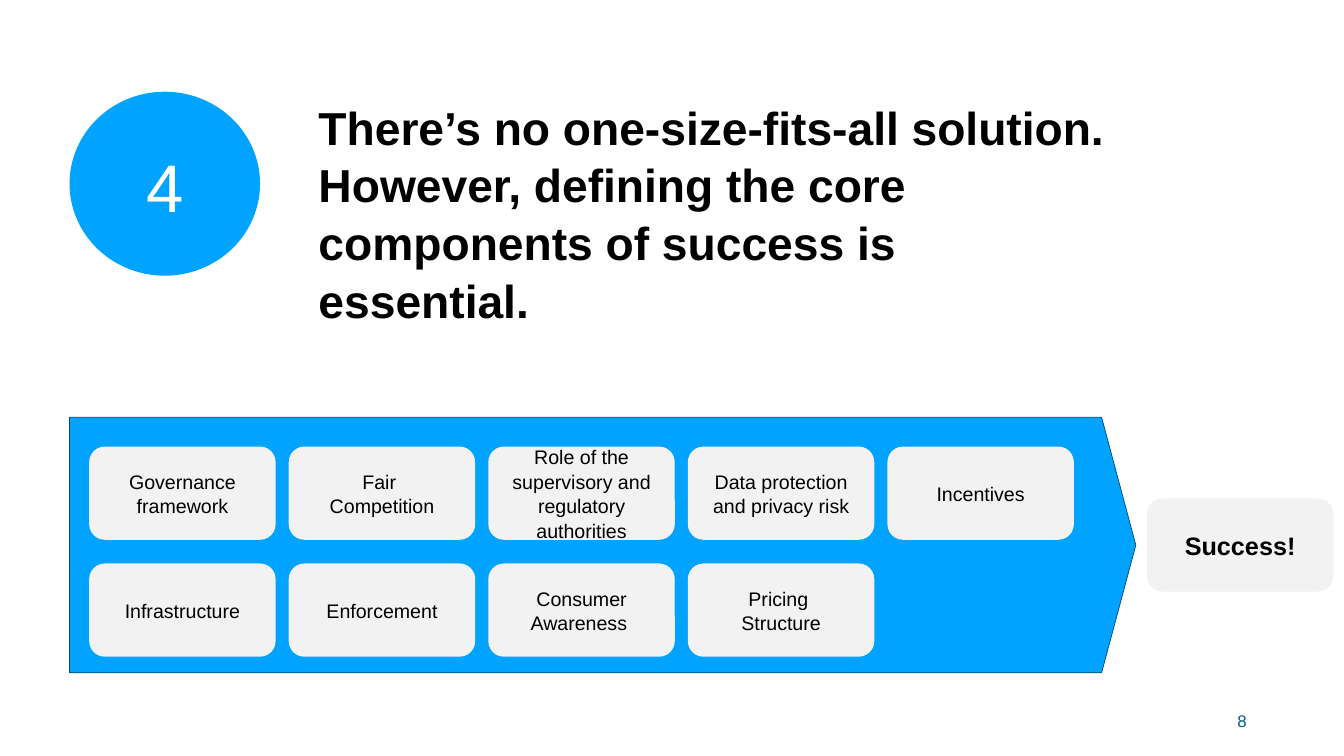
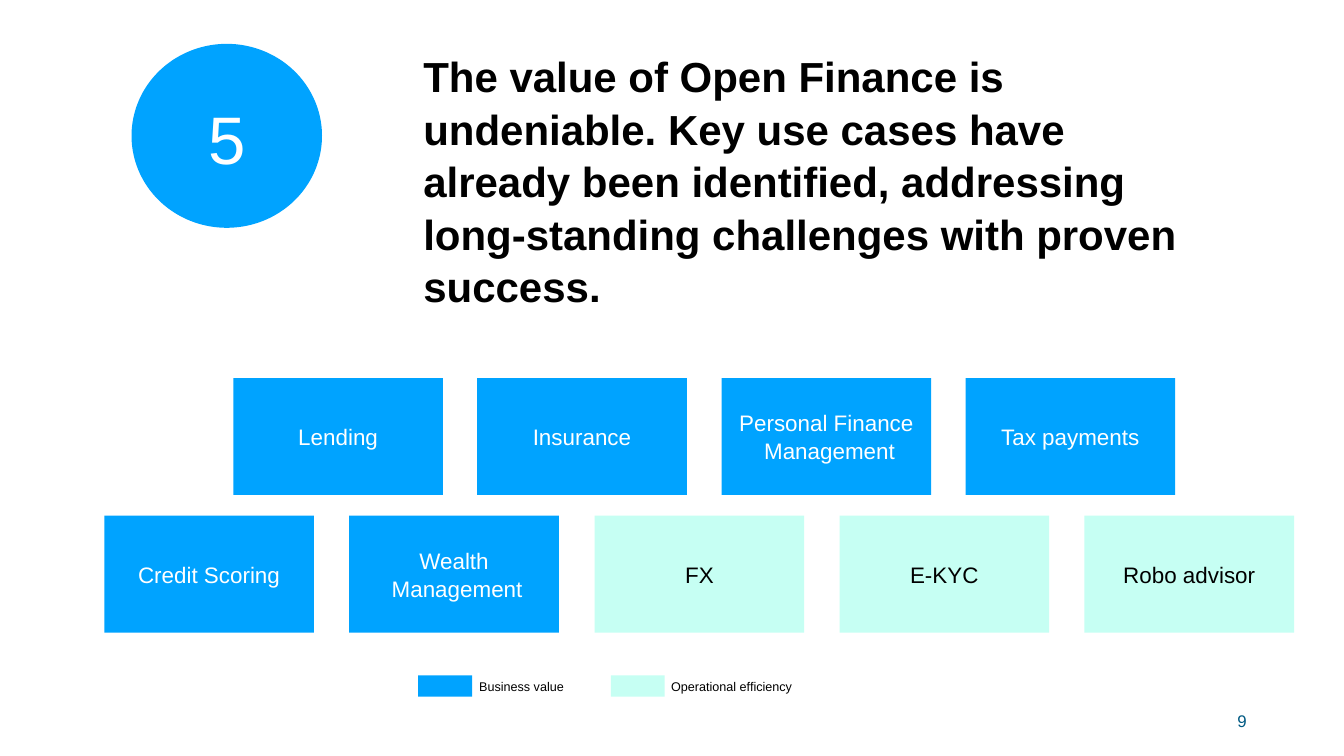
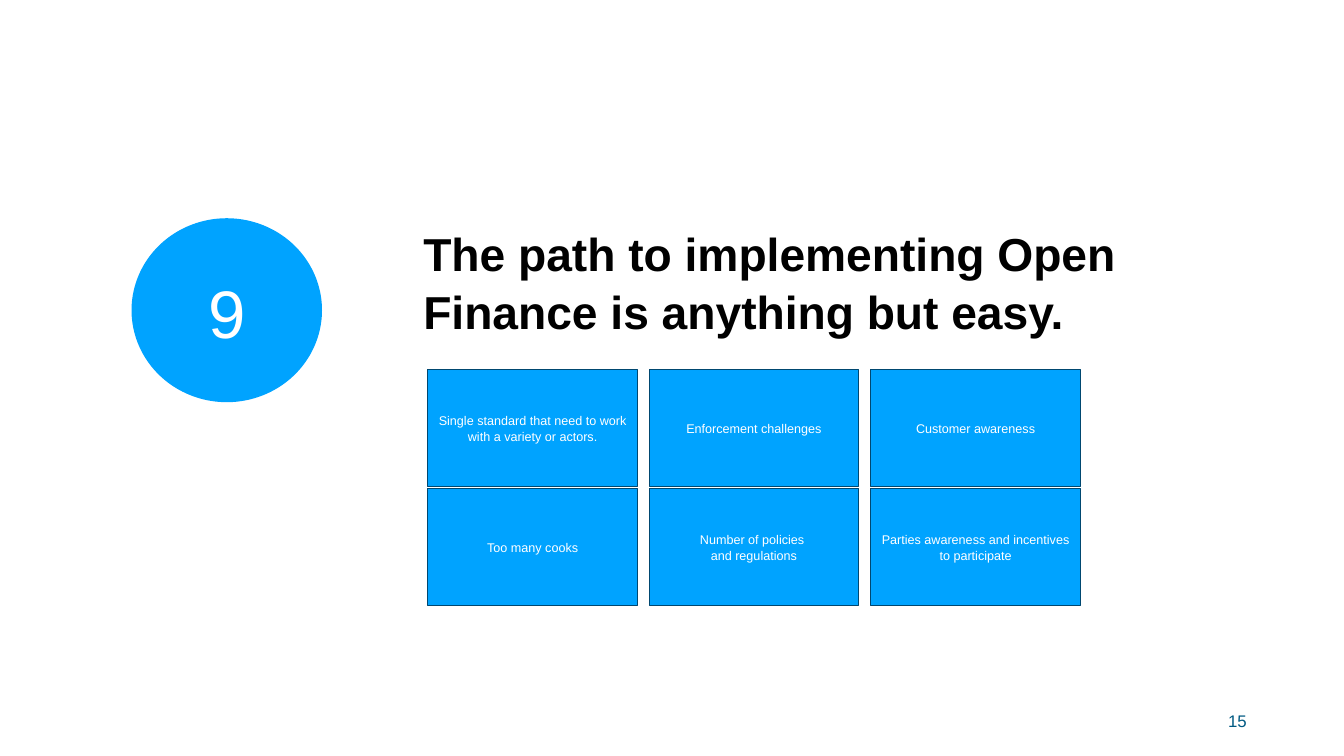
from dataclasses import dataclass

from pptx import Presentation
from pptx.dml.color import RGBColor
from pptx.enum.shapes import MSO_SHAPE
from pptx.enum.text import MSO_ANCHOR, MSO_AUTO_SIZE, PP_ALIGN
from pptx.util import Emu, Pt

PX = 9144  # EMU in one px, 100 px to the inch
TITLE_ONLY = 5
RECT, ROUND = MSO_SHAPE.RECTANGLE, MSO_SHAPE.ROUNDED_RECTANGLE
OVAL, ARROW = MSO_SHAPE.OVAL, MSO_SHAPE.PENTAGON
LEFT, CENTER, RIGHT = PP_ALIGN.LEFT, PP_ALIGN.CENTER, PP_ALIGN.RIGHT
TOP, MIDDLE = MSO_ANCHOR.TOP, MSO_ANCHOR.MIDDLE
FIXED = MSO_AUTO_SIZE.NONE


@dataclass(frozen=True)
class Theme:
    font: str = "Arial"
    white: str = "FFFFFF"
    black: str = "000000"
    blue: str = "00A3FF"
    navy: str = "004770"
    teal: str = "005A83"
    mint: str = "C6FFF3"
    grey: str = "F2F2F2"
    badge: int = 96
    title: int = 66
    long: int = 60
    goal: int = 36
    case: int = 32
    card: int = 28
    page: int = 24
    small: int = 18
    leading: float = 1.04


THEME = Theme()


def rgb(code):
    return RGBColor.from_string(code)


def box(*lengths):
    return [Emu(n * PX) for n in lengths]


def write(shape, text, size, color=THEME.black, bold=False,
          align=CENTER, anchor=MIDDLE, inset=5):
    """Fill a shape with text, one paragraph to each line."""
    frame = shape.text_frame
    frame.text = text
    frame.word_wrap = True
    frame.auto_size = FIXED
    frame.vertical_anchor = anchor
    frame.margin_left = frame.margin_right = Emu(10 * PX)
    frame.margin_top = frame.margin_bottom = Emu(inset * PX)
    for para in frame.paragraphs:
        para.alignment = align
        para.line_spacing = THEME.leading
        para.space_before = para.space_after = Pt(0)
        font = para.font
        font.name, font.size, font.bold = THEME.font, Pt(size), bold
        font.color.rgb = rgb(color)


def block(slide, kind, area, fill, line=None):
    shape = slide.shapes.add_shape(kind, *box(*area))
    shape.shadow.inherit = False
    shape.fill.solid()
    shape.fill.fore_color.rgb = rgb(fill)
    if line:
        shape.line.color.rgb = rgb(line)
        shape.line.width = Pt(1)
    else:
        shape.line.fill.background()
    return shape


def label(slide, area, text, size, **style):
    write(slide.shapes.add_textbox(*box(*area)), text, size, **style)


def start(deck, page, badge, title, area, oval_x, size=THEME.title):
    """Add a slide with its title, numbered oval and page number."""
    slide = deck.slides.add_slide(deck.slide_layouts[TITLE_ONLY])
    head = slide.shapes.title
    head.left, head.top, head.width, head.height = box(*area)
    write(head, title, size, bold=True, align=LEFT, anchor=TOP, inset=10)
    oval = block(slide, OVAL, (oval_x, area[1], 378, 365), THEME.blue)
    write(oval, badge, THEME.badge, THEME.white)
    label(slide, (1884, 1390, 600, 80), page, THEME.page,
          color=THEME.teal, align=RIGHT)
    return slide


def row(slide, names, first, last, y, size, kind=RECT, wide=416, high=232,
        fills=(THEME.blue,), line=None, color=THEME.white):
    """Space boxes evenly with left edges from first to last."""
    step = (last - first) / (len(names) - 1)
    for i, name in enumerate(names):
        fill = fills[i % len(fills)]
        shape = block(slide, kind, (round(first + i * step), y, wide, high),
                      fill, line)
        ink = THEME.black if fill == THEME.mint else color
        write(shape, name, size, ink)


def key(slide, x, fill, text, text_x, wide):
    block(slide, RECT, (x, 1340, 107, 42), fill)
    label(slide, (text_x, 1340, wide, 42), text, THEME.small, align=LEFT)


def success(deck):
    slide = start(deck, "8", "4",
                  "There’s no one-size-fits-all solution.\n"
                  "However, defining the core components of success is essential.",
                  (622, 182, 1591, 495), 138)
    arrow = block(slide, ARROW, (138, 828, 2116, 507), THEME.blue, THEME.navy)
    arrow.adjustments[0] = 0.134
    card = dict(size=THEME.card, kind=ROUND, wide=370, high=185,
                fills=(THEME.grey,), color=THEME.black)
    row(slide, ["Governance framework", "Fair \nCompetition",
                "Role of the supervisory and regulatory authorities",
                "Data protection and privacy risk", "Incentives"],
        177, 1761, 886, **card)
    row(slide, ["Infrastructure", "Enforcement", "Consumer\nAwareness ",
                "Pricing \nStructure"], 177, 1365, 1118, **card)
    goal = block(slide, ROUND, (2276, 989, 370, 185), THEME.grey)
    write(goal, "Success!", THEME.goal, bold=True)


def cases(deck):
    slide = start(deck, "9", "5",
                  "The value of Open Finance is undeniable. Key use cases have "
                  "already been identified, addressing long-standing challenges "
                  "with proven success.",
                  (830, 87, 1591, 515), 261, THEME.long)
    row(slide, ["Lending", "Insurance", "Personal Finance\n Management",
                "Tax payments"], 463, 1916, 750, THEME.case)
    row(slide, ["Credit Scoring", "Wealth\n Management", "FX", "E-KYC",
                "Robo advisor"], 207, 2152, 1023, THEME.case,
        fills=[THEME.blue] * 2 + [THEME.mint] * 3)
    key(slide, 830, THEME.blue, "Business value", 941, 210)
    key(slide, 1212, THEME.mint, "Operational efficiency", 1322, 396)


def hurdles(deck):
    slide = start(deck, "15", "9",
                  "The path to implementing Open Finance is anything but easy.",
                  (830, 433, 1591, 424), 261)
    rows = [
        ["Single standard that need to work with a variety or actors.",
         "Enforcement challenges", "Customer awareness"],
        ["Too many cooks", "Number of policies \nand regulations",
         "Parties awareness and incentives to participate"],
    ]
    for i, names in enumerate(rows):
        row(slide, names, 849, 1728, 733 + i * 236, THEME.small,
            line=THEME.navy)


def main():
    deck = Presentation()
    deck.slide_width, deck.slide_height = box(2667, 1500)
    success(deck)
    cases(deck)
    hurdles(deck)
    deck.save("out.pptx")


if __name__ == "__main__":
    main()
